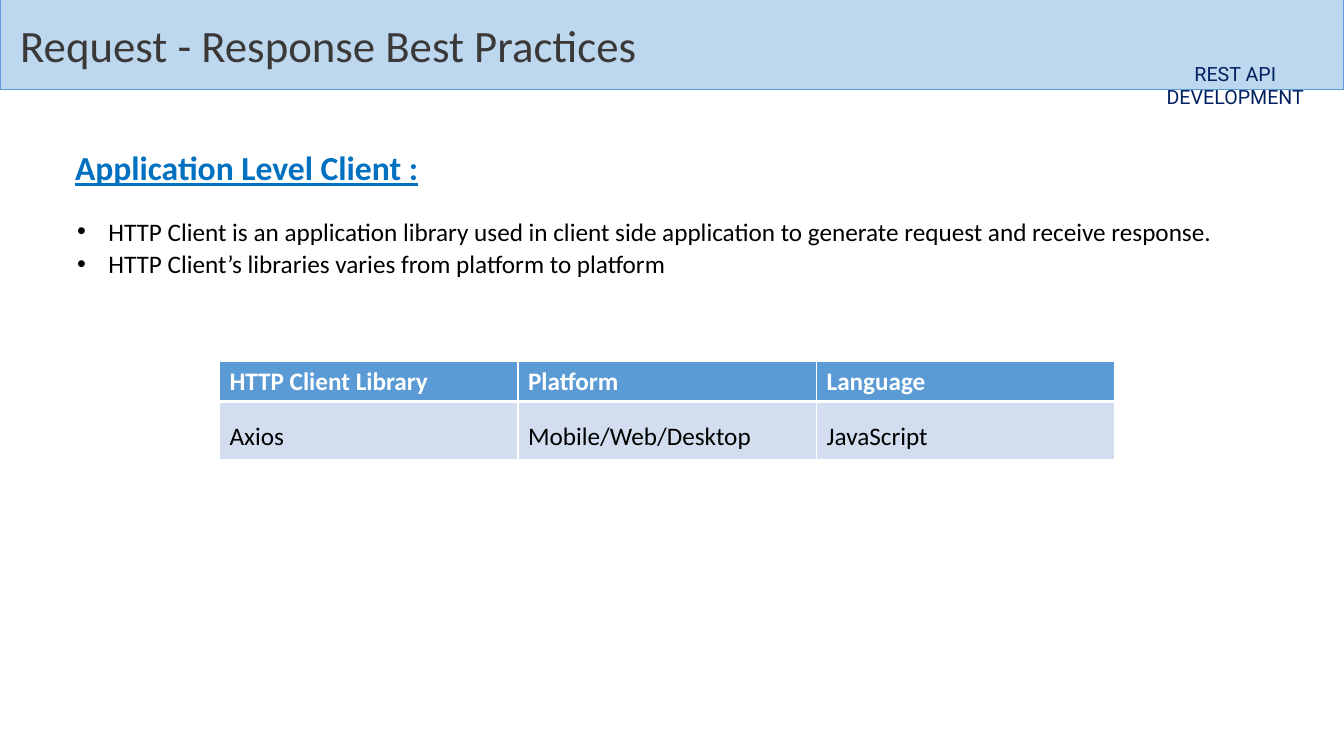
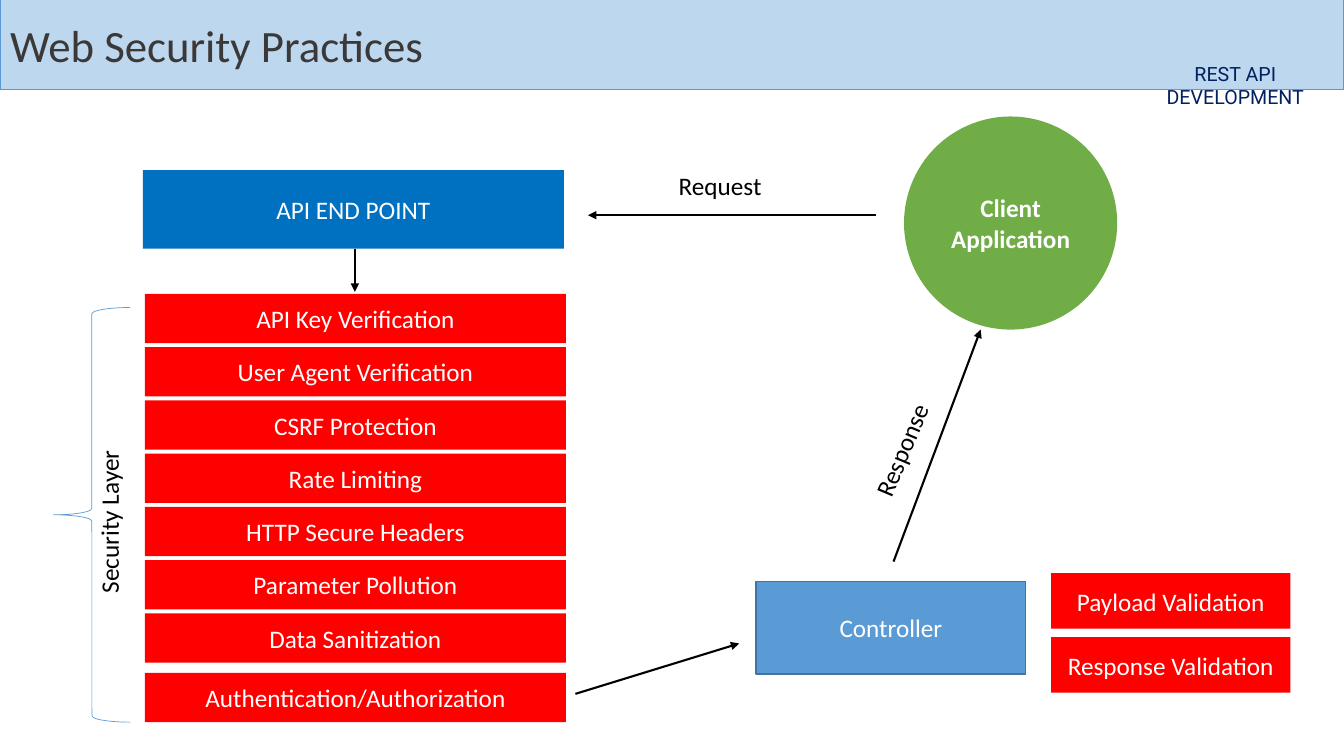
"""Build two slides on HTTP clients and web security practices."""
import lxml.etree
import pptx
import pptx.dml.color
import pptx.enum.shapes
import pptx.enum.text
import pptx.oxml
import pptx.oxml.ns
import pptx.util

DARK, PALE, NAVY, BLUE, SKY = "3B3838", "BDD7EE", "002060", "0070C0", "5B9BD5"
RED, GREEN, BLACK, WHITE, ICE, EDGE = "FF0000", "70AD47", "000000", "FFFFFF", "D2DEEF", "43739E"
hue = pptx.dml.color.RGBColor.from_string
qn = pptx.oxml.ns.qn
kinds = pptx.enum.shapes.MSO_SHAPE
sides = pptx.enum.text.PP_ALIGN
middle = pptx.enum.text.MSO_ANCHOR.MIDDLE

deck = pptx.Presentation()
deck.slide_width = pptx.util.Inches(13.33)
deck.slide_height = pptx.util.Inches(7.5)
cell = deck.slide_width / 128


def ink(frame, text, color, size=18, bold=False, side=sides.LEFT, lead=None, font="Calibri"):
    frame.text = text
    frame.word_wrap = True
    for para in frame.paragraphs:
        para.alignment = side
        para.line_spacing = lead
        for run in para.runs:
            run.font.name = font
            run.font.size = pptx.util.Pt(size)
            run.font.bold = bold
            run.font.color.rgb = hue(color)


def box(slide, kind, grid, fill=None, line=None, width=1):
    spot = [int(n * cell) for n in grid]
    if kind is None:
        return slide.shapes.add_textbox(*spot)
    shape = slide.shapes.add_shape(kind, *spot)
    shape.shadow.inherit = False
    shape.fill.background()
    shape.line.fill.background()
    if fill:
        shape.fill.solid()
        shape.fill.fore_color.rgb = hue(fill)
    if line:
        shape.line.color.rgb = hue(line)
        shape.line.width = pptx.util.Pt(width)
    return shape


pages = []
for name, inset in (("Request - Response Best Practices", 0.2), ("Web Security Practices", 0.1)):
    slide = deck.slides.add_slide(deck.slide_layouts[5])
    band = slide.shapes.title
    band.left, band.top, band.width, band.height = [int(n * cell) for n in (0, -0.1, 128, 8.6)]
    band.fill.solid()
    band.fill.fore_color.rgb = hue(PALE)
    band.line.color.rgb = hue(SKY)
    band.line.width = pptx.util.Pt(1)
    ink(band.text_frame, name, DARK, 32)
    band.text_frame.auto_size = pptx.enum.text.MSO_AUTO_SIZE.NONE
    band.text_frame.vertical_anchor = middle
    band.text_frame.margin_left = pptx.util.Inches(inset)
    tag = box(slide, None, (106.6, 5.4, 22.1, 3.3))
    ink(tag.text_frame, "REST API DEVELOPMENT", NAVY, 14, side=sides.CENTER, font="Roboto")
    pages.append(slide)
client, guard = pages

head = box(client, None, (6.2, 13.3, 86.2, 4.9)).text_frame
ink(head, "Application Level Client :", BLUE, 24, True, lead=1.07)
head.paragraphs[0].runs[0].font.underline = True

notes = (
    "HTTP Client is an application library used in client side application "
    "to generate request and receive response.",
    "HTTP Client’s libraries varies from platform to platform",
)
list_frame = box(client, None, (6.4, 19.9, 115.4, 7)).text_frame
ink(list_frame, "\n".join(notes), BLACK, lead=1.07)
for para in list_frame.paragraphs:
    props = para._p.get_or_add_pPr()
    indent = pptx.util.Inches(0.31)
    props.set("marL", str(indent))
    props.set("indent", str(-indent))
    lxml.etree.SubElement(props, qn("a:buFont")).set("typeface", "Arial")
    lxml.etree.SubElement(props, qn("a:buChar")).set("char", "•")

rows = (
    ("HTTP Client Library", "Platform", "Language"),
    ("Axios", "Mobile/Web/Desktop", "JavaScript"),
)
looks = ((SKY, WHITE, True, None, 3.8, 1, 3), (ICE, BLACK, False, 1.5, 5.5, 3, 1))
spot = [int(n * cell) for n in (20.9, 34.4, 85.3, 9.3)]
table = client.shapes.add_table(2, 3, *spot).table
for r, (fill, color, bold, lead, tall, top, base) in enumerate(looks):
    table.rows[r].height = int(tall * cell)
    for c, text in enumerate(rows[r]):
        part = table.cell(r, c)
        ink(part.text_frame, text, color, bold=bold, lead=lead)
        part.fill.solid()
        part.fill.fore_color.rgb = hue(fill)
        props = part._tc.get_or_add_tcPr()
        for n, (edge, width) in enumerate((("L", 1), ("R", 1), ("T", top), ("B", base))):
            rule = lxml.etree.Element(qn("a:ln" + edge), w=str(pptx.util.Pt(width)))
            paint = lxml.etree.SubElement(rule, qn("a:solidFill"))
            lxml.etree.SubElement(paint, qn("a:srgbClr")).set("val", WHITE)
            props.insert(n, rule)

steps = (
    "API Key Verification", "User Agent Verification", "CSRF Protection", "Rate Limiting",
    "HTTP Secure Headers", "Parameter Pollution", "Data Sanitization",
)
blocks = [(step, (13.8, 28 + 5.07 * n, 40.1, 4.7), RED, None) for n, step in enumerate(steps)]
blocks += [
    ("Authentication/Authorization", (13.8, 64.1, 40.1, 4.7), RED, None),
    ("API END POINT", (13.6, 16.2, 40.1, 7.5), BLUE, None),
    ("Controller", (72, 55.4, 25.7, 8.8), SKY, EDGE),
    ("Payload Validation", (100.1, 54.6, 22.8, 5.3), RED, None),
    ("Response Validation", (100.1, 60.7, 22.8, 5.3), RED, None),
    ("Client Application", (86.1, 11.1, 20.3, 20.3), GREEN, None),
]
for text, grid, fill, line in blocks:
    disc = fill == GREEN
    shape = box(guard, kinds.OVAL if disc else kinds.RECTANGLE, grid, fill, line)
    ink(shape.text_frame, text, WHITE, bold=disc, side=sides.CENTER)
    shape.text_frame.vertical_anchor = middle

box(guard, kinds.LEFT_BRACE, (5.1, 29.3, 7.3, 39.5), line=SKY, width=0.5)

labels = (
    ("Request", (63.7, 15.8, 11.9, 3.9), 0),
    ("Security Layer", (1.3, 46.4, 18.2, 3.9), 270),
    ("Response", (80, 40.5, 12.1, 3.9), 292.8),
)
for text, grid, turn in labels:
    label = box(guard, None, grid)
    label.rotation = turn
    ink(label.text_frame, text, BLACK)

arrows = (
    (83.4, 20.5, 56, 20.5),
    (33.8, 23.7, 33.8, 27.8),
    (54.8, 66.1, 70.4, 61.3),
    (85.1, 53.5, 93.4, 31.4),
)
for ends in arrows:
    arrow = guard.shapes.add_connector(
        pptx.enum.shapes.MSO_CONNECTOR.STRAIGHT, *[int(n * cell) for n in ends])
    arrow.line.color.rgb = hue(BLACK)
    arrow.line.width = pptx.util.Pt(1.5)
    lxml.etree.SubElement(arrow.line._get_or_add_ln(), qn("a:tailEnd")).set("type", "triangle")
    lxml.etree.SubElement(arrow._element.spPr, qn("a:effectLst"))

deck.save("out.pptx")
